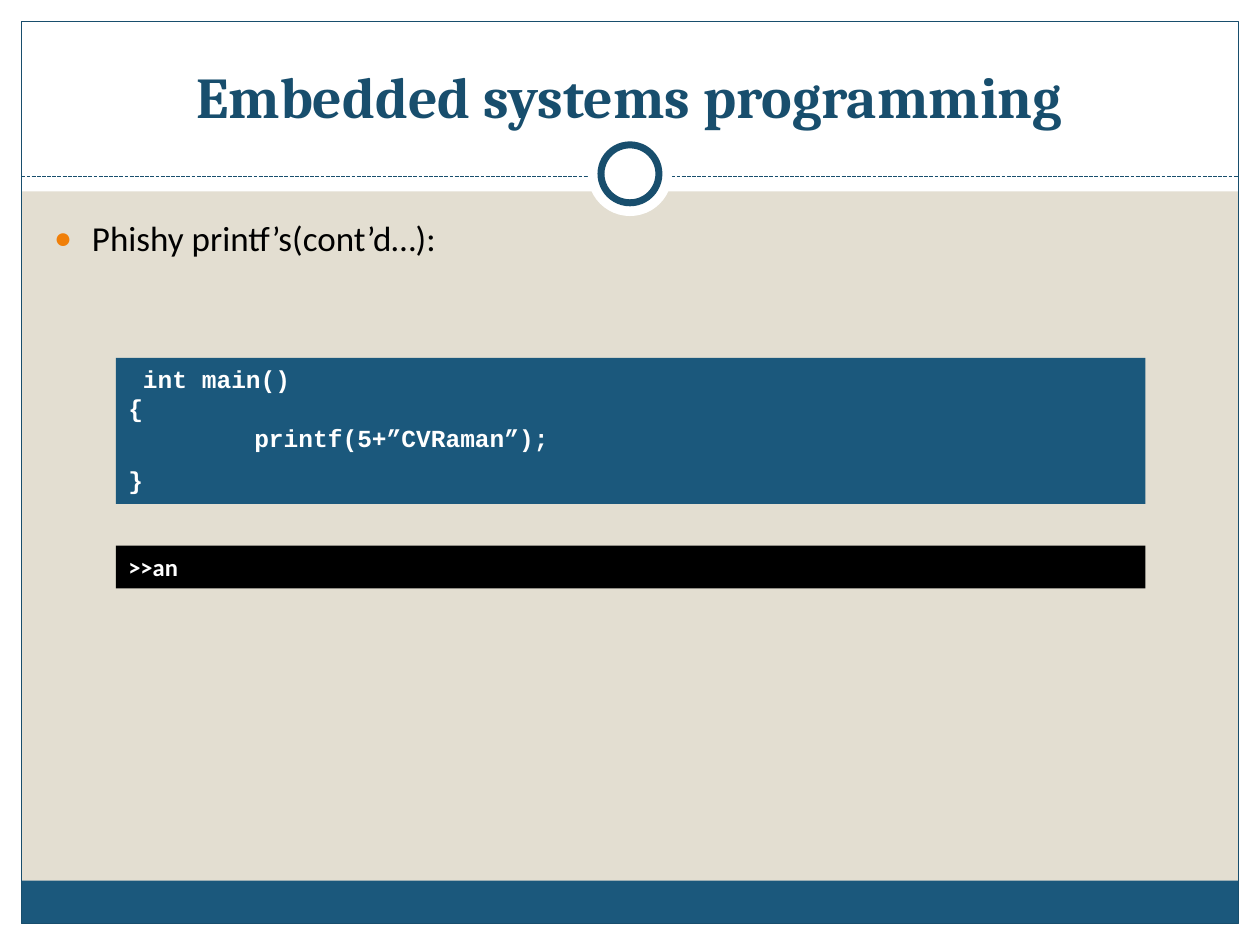
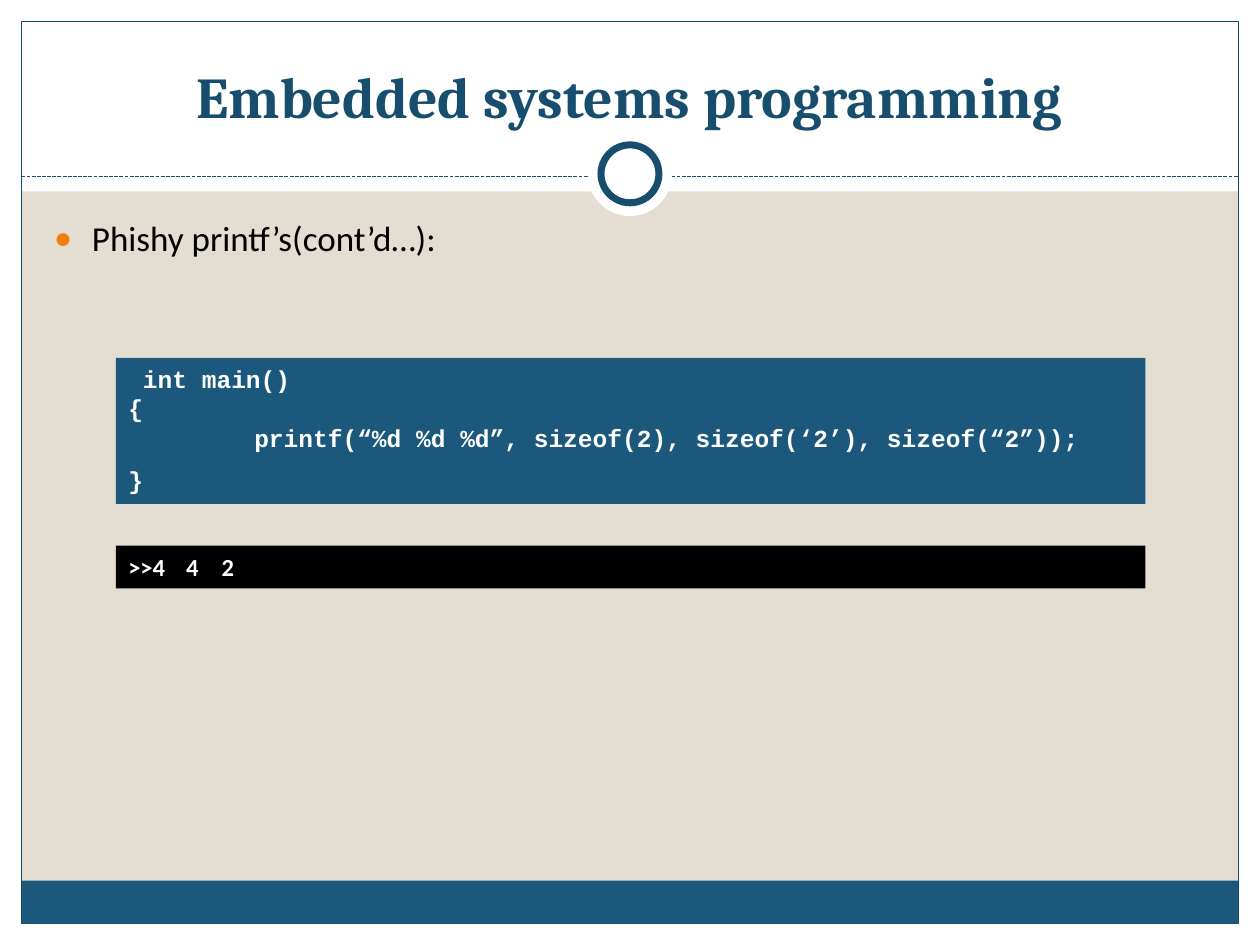
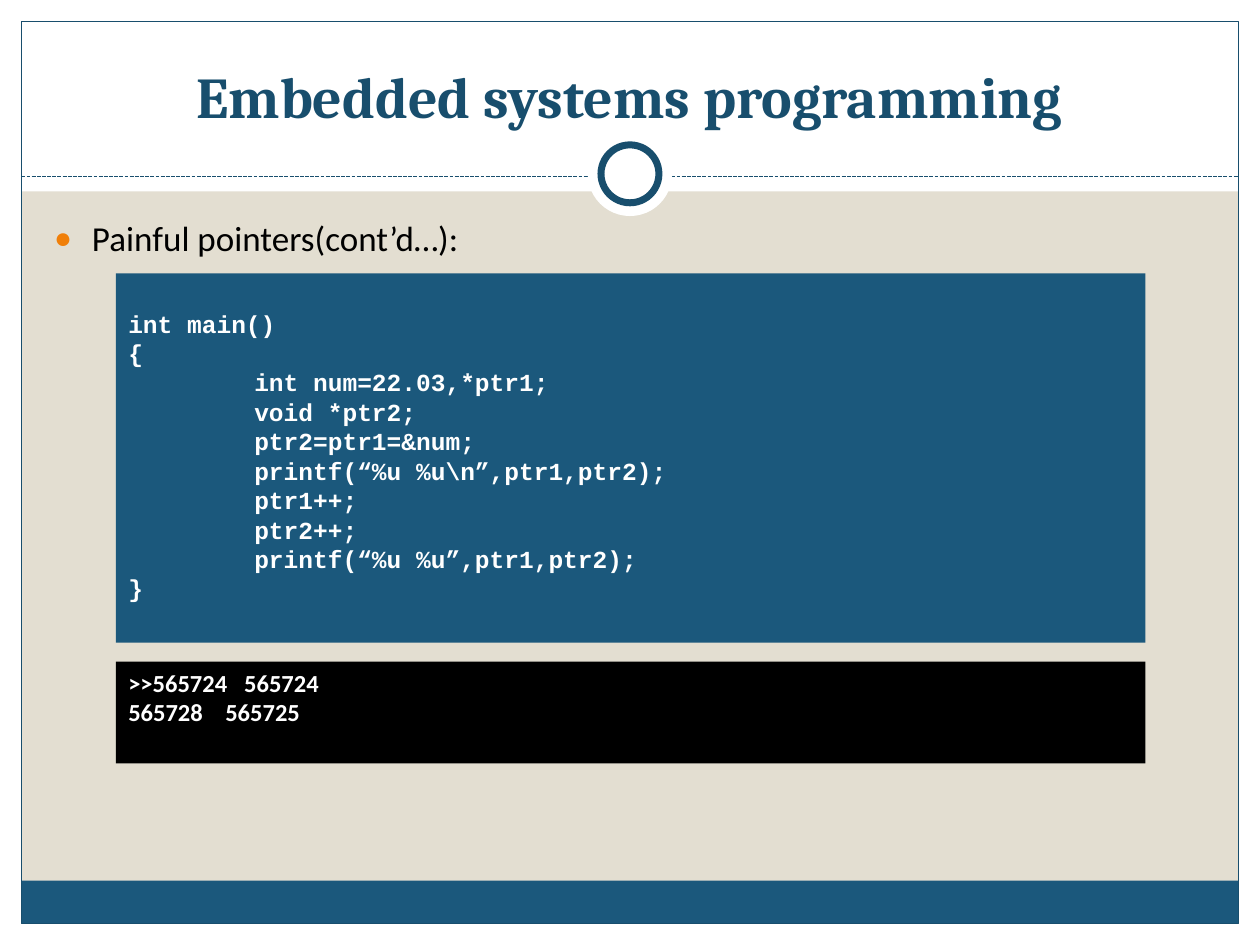
from lxml import etree
from pptx import Presentation, util as u
from pptx.dml.color import RGBColor
from pptx.enum import dml, shapes, text
from pptx.oxml import ns

NAVY = RGBColor(0x18, 0x4E, 0x6D)
BLUE = RGBColor(0x1B, 0x58, 0x7C)
SAND = RGBColor(0xE3, 0xDE, 0xD1)
WHITE = RGBColor(0xFF, 0xFF, 0xFF)
BLACK = RGBColor(0, 0, 0)
ORANGE = "F07F09"

TITLE = "Embedded systems programming"
HEAD = [" int main()", "{"]
SLIDES = [
    {
        "topic": "Phishy printf’s(cont’d…):",
        "code": HEAD + ["\tprintf(5+”CVRaman”);", "}"],
        "code_box": (2.84, 1.16, 0.05),
        "gap": 7,
        "out": [(">>an", ())],
        "out_box": (4.33, 0.34, 0.05),
    },
    {
        "topic": "Phishy printf’s(cont’d…):",
        "code": HEAD + ["\tprintf(“%d %d %d”, sizeof(2), sizeof(‘2’), sizeof(“2”));", "}"],
        "code_box": (2.84, 1.16, 0.05),
        "gap": 7,
        "out": [(">>4\t4\t2", (0.46, 0.74))],
        "out_box": (4.33, 0.34, 0.05),
    },
    {
        "topic": "Painful pointers(cont’d…):",
        "code": [
            "int main()",
            "{",
            "\tint num=22.03,*ptr1;",
            "\tvoid *ptr2;",
            "\tptr2=ptr1=&num;",
            "\tprintf(“%u %u\\n”,ptr1,ptr2);",
            "\tptr1++;",
            "\tptr2++;",
            "\tprintf(“%u %u”,ptr1,ptr2);",
            "}",
        ],
        "code_box": (2.17, 2.93, 0.28),
        "gap": 0,
        "out": [(">>565724\t565724", (0.92,)), ("565728\t565725", (0.77,))],
        "out_box": (5.25, 0.81, 0.05),
    },
]

WIDE, HIGH = 10, 7.5
EDGE = 0.17
INNER = WIDE - 2 * EDGE
RULE = 1.4
RING = 1.38
BOX_X, BOX_W = 0.92, 8.17
CODE_TAB = (1,)

TITLE_FONT = {"name": "Cambria", "size": u.Pt(33), "bold": True}
TOPIC_FONT = {"name": "Calibri", "size": u.Pt(20), "bold": False}
CODE_FONT = {"name": "Courier New", "size": u.Pt(14), "bold": True}
OUT_FONT = CODE_FONT | {"name": "Calibri"}


def put(item, vals):
    for key, val in vals.items():
        setattr(item, key, val)


def place(item, *box):
    put(item, dict(zip(("left", "top", "width", "height"), map(u.Inches, box))))


def ink(para, font, color):
    put(para.font, font)
    para.font.color.rgb = color


def node(parent, tag, **vals):
    return etree.SubElement(parent, ns.qn(tag), vals)


def draw(slide, kind, box, fill=None, line=None, width=0.75):
    shape = slide.shapes.add_shape(kind, *map(u.Inches, box))
    shape.shadow.inherit = False
    for paint, color in ((shape.fill, fill), (shape.line.fill, line)):
        if color is None:
            paint.background()
        else:
            paint.solid()
            paint.fore_color.rgb = color
    if line is not None:
        shape.line.width = u.Pt(width)
    return shape


def disc(slide, size, **look):
    box = ((WIDE - size) / 2, RING - size / 2, size, size)
    return draw(slide, shapes.MSO_SHAPE.OVAL, box, WHITE, **look)


def rule(slide):
    line = slide.shapes.add_connector(
        shapes.MSO_CONNECTOR.STRAIGHT,
        *map(u.Inches, (EDGE, RULE, WIDE - EDGE, RULE)),
    )
    put(line.line, {"width": u.Pt(0.75), "dash_style": dml.MSO_LINE.SQUARE_DOT})
    line.line.color.rgb = NAVY
    node(line.element.spPr, "a:effectLst")
    return line


def frame(slide):
    rect = shapes.MSO_SHAPE.RECTANGLE
    bands = [
        ((0, HIGH - EDGE, WIDE, EDGE), WHITE),
        ((0, 0, WIDE, 1.52), WHITE),
        ((0, 0, EDGE, HIGH), WHITE),
        ((WIDE - EDGE, 0, EDGE, HIGH), WHITE),
        ((EDGE, 6.99, INNER, 0.34), BLUE),
    ]
    parts = [draw(slide, rect, box, fill) for box, fill in bands]
    parts.append(draw(slide, rect, (EDGE, EDGE, INNER, HIGH - 2 * EDGE), line=NAVY))
    parts += [rule(slide), disc(slide, 0.67), disc(slide, 0.46, line=NAVY, width=4)]
    return parts


def style(layout):
    layout.background.fill.solid()
    layout.background.fill.fore_color.rgb = SAND
    title, body, *extras = layout.placeholders
    for item in extras:
        layout.shapes.element.remove(item.element)
    place(title, 0.33, 0.25, 9.33, 0.83)
    title.text_frame.vertical_anchor = text.MSO_ANCHOR.BOTTOM
    place(body, 0.33, 1.67, 9.3, 5)


def bullet(para):
    props = para._p.get_or_add_pPr()
    dent = {"marL": u.Inches(0.3), "indent": u.Inches(-0.3)}
    for key, val in dent.items():
        props.set(key, str(val))
    node(node(props, "a:buClr"), "a:srgbClr", val=ORANGE)
    node(props, "a:buSzPct", val="85000")
    node(props, "a:buChar", char="●")


def heads(slide, topic):
    title, body = slide.placeholders
    title.text_frame.text = TITLE
    para = title.text_frame.paragraphs[0]
    para.alignment = text.PP_ALIGN.CENTER
    ink(para, TITLE_FONT, NAVY)
    body.text_frame.text = topic
    para = body.text_frame.paragraphs[0]
    para.alignment = text.PP_ALIGN.JUSTIFY
    ink(para, TOPIC_FONT, BLACK)
    bullet(para)


def panel(slide, lines, box, fill, font):
    top, high, inset = box
    shape = draw(slide, shapes.MSO_SHAPE.RECTANGLE, (BOX_X, top, BOX_W, high), fill)
    area = shape.text_frame
    put(area, {
        "word_wrap": True,
        "vertical_anchor": text.MSO_ANCHOR.TOP,
        "margin_top": u.Inches(inset),
    })
    area.text = "\n".join(line for line, _ in lines)
    for para, (_, stops) in zip(area.paragraphs, lines):
        para.alignment = text.PP_ALIGN.LEFT
        ink(para, font, WHITE)
        if stops:
            tabs = node(para._p.get_or_add_pPr(), "a:tabLst")
            for stop in stops:
                node(tabs, "a:tab", pos=str(u.Inches(stop)), algn="l")
    return area


def main():
    deck = Presentation()
    put(deck, {"slide_width": u.Inches(WIDE), "slide_height": u.Inches(HIGH)})
    layout = deck.slide_layouts[1]
    style(layout)
    for num, data in enumerate(SLIDES):
        slide = deck.slides.add_slide(layout)
        if num == 0:
            for part in frame(slide):
                layout.shapes.element.append(part.element)
        heads(slide, data["topic"])
        code = [(line, CODE_TAB if "\t" in line else ()) for line in data["code"]]
        area = panel(slide, code, data["code_box"], BLUE, CODE_FONT)
        area.paragraphs[-1].space_before = u.Pt(data["gap"])
        panel(slide, data["out"], data["out_box"], BLACK, OUT_FONT)
    deck.save("out.pptx")


if __name__ == "__main__":
    main()
